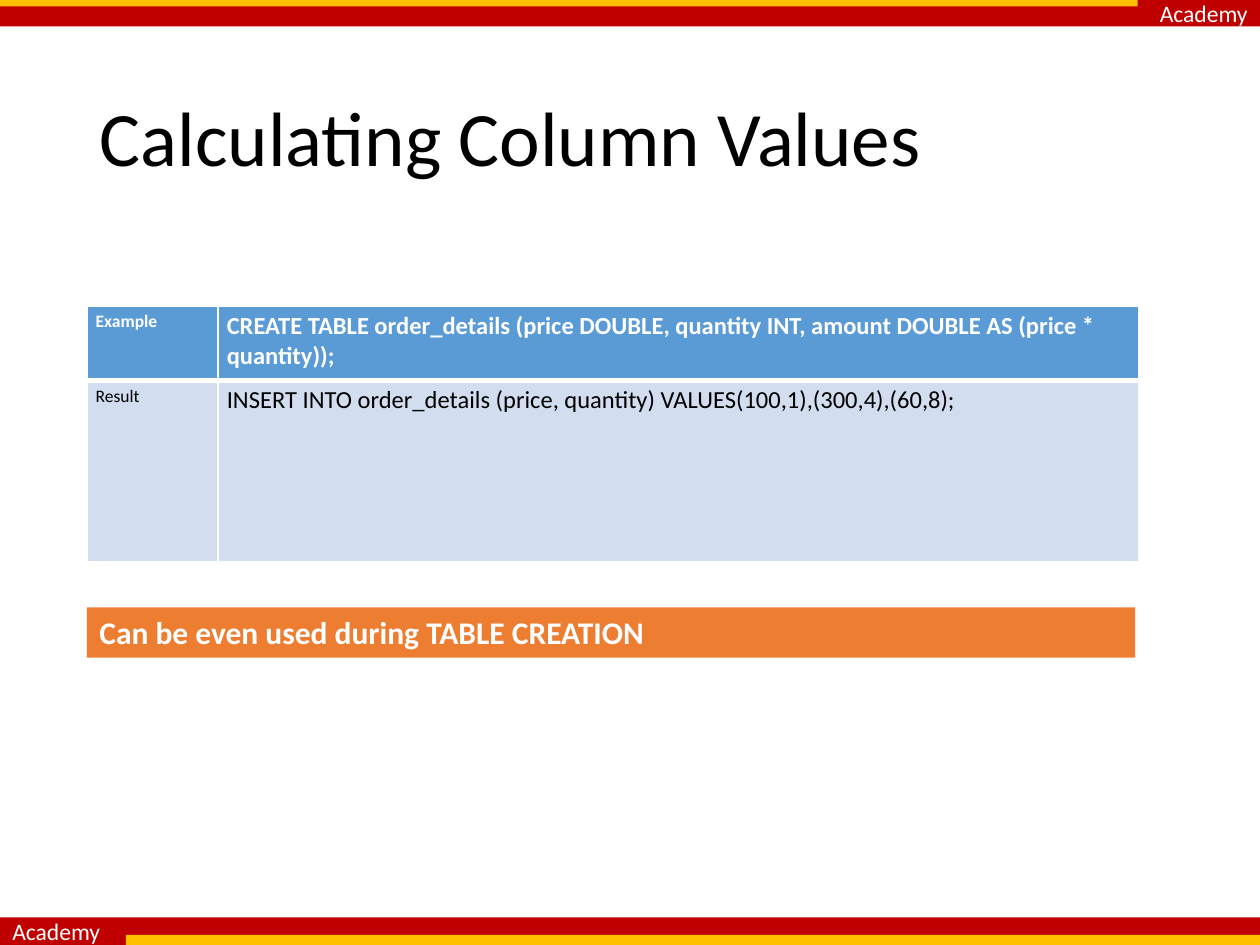
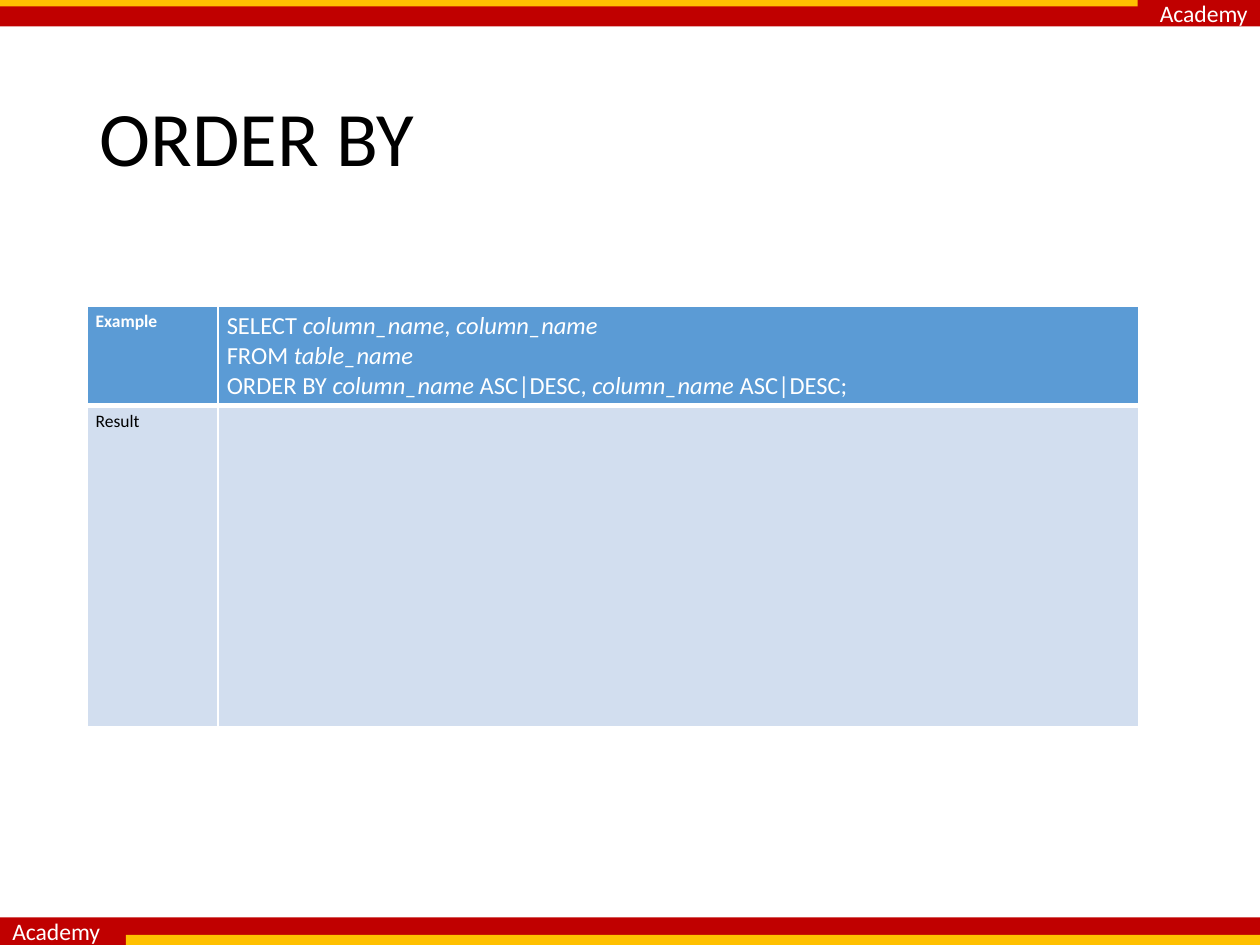
from lxml.etree import SubElement
from pptx import Presentation
from pptx.dml.color import RGBColor
from pptx.enum.shapes import MSO_SHAPE
from pptx.enum.text import MSO_ANCHOR, MSO_AUTO_SIZE, PP_ALIGN
from pptx.oxml import parse_xml
from pptx.oxml.ns import nsdecls
from pptx.util import Inches, Pt

RED = RGBColor(0xC0, 0x00, 0x00)
GOLD = RGBColor(0xFF, 0xC0, 0x00)
BLUE = RGBColor(0x5B, 0x9B, 0xD5)
PALE_BLUE = RGBColor(0xD2, 0xDE, 0xEF)
ORANGE = RGBColor(0xED, 0x7D, 0x31)
WHITE = RGBColor(0xFF, 0xFF, 0xFF)
BLACK = RGBColor(0x00, 0x00, 0x00)
FONT = "Calibri"
LEFT = 0.69


def style(p, size, color, bold=False, align=PP_ALIGN.LEFT):
    p.alignment = align
    p.font.name = FONT
    p.font.size = Pt(size)
    p.font.bold = bold
    p.font.color.rgb = color


def add_bar(s, x, y, w, h, color):
    sp = s.shapes.add_shape(MSO_SHAPE.RECTANGLE, Inches(x), Inches(y), Inches(w), Inches(h))
    sp.shadow.inherit = False
    sp.fill.solid()
    sp.fill.fore_color.rgb = color
    sp.line.fill.background()
    return sp


prs = Presentation()
prs.slide_width = Inches(10)
prs.slide_height = Inches(7.5)
layout = prs.slide_layouts[5]

SLIDES = [
    {
        "title": "Calculating Column Values",
        "rows": [0.59, 1.44],
        "bold": True,
        "example": [[("CREATE TABLE order_details (price DOUBLE, quantity INT, "
                      "amount DOUBLE AS (price * quantity));", False)]],
        "result": [[("INSERT INTO order_details (price, quantity) "
                     "VALUES(100,1),(300,4),(60,8);", False)]],
        "note": "Can be even used during TABLE CREATION",
    },
    {
        "title": "ORDER BY",
        "rows": [0.77, 2.55],
        "bold": False,
        "example": [
            [("SELECT ", False), ("column_name", True), (", ", False), ("column_name", True)],
            [("FROM ", False), ("table_name", True)],
            [("ORDER BY ", False), ("column_name ", True), ("ASC|DESC, ", False),
             ("column_name", True), (" ASC|DESC;", False)],
        ],
        "result": [],
        "note": None,
    },
]

slides = [prs.slides.add_slide(layout) for _ in SLIDES]

BANDS = [
    (0, 0, 10, 0.21, RED, PP_ALIGN.RIGHT),
    (0, 7.28, 10, 0.22, RED, PP_ALIGN.LEFT),
    (0, 0, 9.03, 0.05, GOLD, None),
    (1, 7.42, 9, 0.08, GOLD, None),
]
for i, (x, y, w, h, color, align) in enumerate(BANDS):
    sp = add_bar(slides[0], x, y, w, h, color)
    sp.name = f"Band {i + 1}"
    if align is not None:
        tf = sp.text_frame
        tf.word_wrap = False
        tf.vertical_anchor = MSO_ANCHOR.MIDDLE
        tf.text = "Academy"
        style(tf.paragraphs[0], 13.5, WHITE, align=align)
    sp.element.nvSpPr.cNvPr.set("id", str(20 + i))
    layout.shapes.element.insert(2 + i, sp.element)

for s, data in zip(slides, SLIDES):
    title = s.shapes.title
    title.left, title.top = Inches(LEFT), Inches(0.4)
    title.width, title.height = Inches(8.62), Inches(1.45)
    tf = title.text_frame
    tf.text = data["title"]
    tf.auto_size = MSO_AUTO_SIZE.NONE
    tf.vertical_anchor = MSO_ANCHOR.MIDDLE
    p = tf.paragraphs[0]
    p.line_spacing = 0.9
    style(p, 44, BLACK)

    frame = s.shapes.add_table(2, 2, Inches(LEFT), Inches(2.43),
                               Inches(8.35), Inches(sum(data["rows"])))
    table = frame.table
    table.horz_banding = False
    for col, width in zip(table.columns, (1.04, 7.31)):
        col.width = Inches(width)
    for row, height in zip(table.rows, data["rows"]):
        row.height = Inches(height)

    rows = [
        ("Example", data["example"], BLUE, WHITE, True, data["bold"], 3),
        ("Result", data["result"], PALE_BLUE, BLACK, False, False, 1),
    ]
    for r, (label, code, fill, color, label_bold, code_bold, bottom) in enumerate(rows):
        cells = [([[(label, False)]], 10, label_bold), (code, 14, code_bold)]
        for c, (lines, size, bold) in enumerate(cells):
            cell = table.cell(r, c)
            cell.margin_left = cell.margin_right = Inches(0.07)
            cell.margin_top = cell.margin_bottom = Inches(0.04)
            p = cell.text_frame.paragraphs[0]
            style(p, size, color, bold)
            for i, line in enumerate(lines):
                if i:
                    p.add_line_break()
                for text, italic in line:
                    run = p.add_run()
                    run.text = text
                    if italic:
                        run.font.italic = True
            tcPr = cell._tc.get_or_add_tcPr()
            for side, width in (("L", 1), ("R", 1), ("T", 1 if r == 0 else 3), ("B", bottom)):
                ln = parse_xml(f'<a:ln{side} {nsdecls("a")} w="{Pt(width)}"/>')
                solid = SubElement(ln, f"{{{ln.nsmap['a']}}}solidFill")
                SubElement(solid, f"{{{ln.nsmap['a']}}}srgbClr", val=str(WHITE))
                tcPr.append(ln)
            cell.fill.solid()
            cell.fill.fore_color.rgb = fill

    if data["note"]:
        sp = add_bar(s, LEFT, 4.82, 8.32, 0.4, ORANGE)
        tf = sp.text_frame
        tf.word_wrap = True
        tf.auto_size = MSO_AUTO_SIZE.SHAPE_TO_FIT_TEXT
        tf.vertical_anchor = MSO_ANCHOR.TOP
        tf.text = data["note"]
        style(tf.paragraphs[0], 18, WHITE, True)

prs.save("out.pptx")
